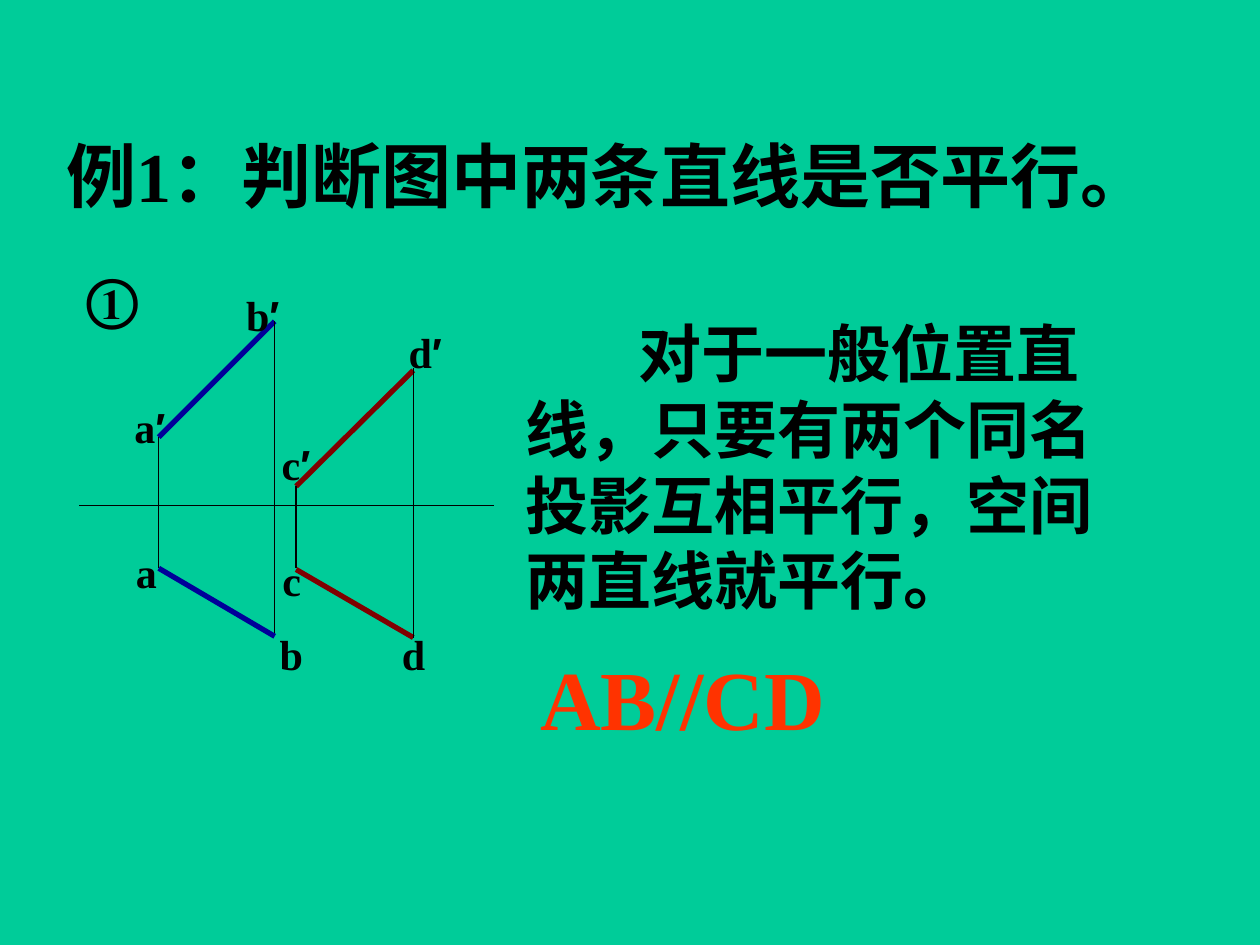
from dataclasses import dataclass
from typing import NamedTuple

from lxml import etree
from pptx import Presentation
from pptx import util as u
from pptx.dml.color import RGBColor
from pptx.enum import shapes, text
from pptx.oxml import ns


@dataclass(frozen=True)
class Theme:
    back: str = "00CC99"
    ink: str = "000000"
    blue: str = "000099"
    maroon: str = "800000"
    red: str = "FF3300"
    serif: str = "Times New Roman"
    sans: str = "Arial"
    small: int = 24
    mark: int = 32
    body: int = 36
    title: int = 40
    result: int = 48
    thin: float = 0.75
    thick: float = 3


T = Theme()


class Line(NamedTuple):
    x1: float
    y1: float
    x2: float
    y2: float
    color: str = T.ink
    width: float = T.thin


class Label(NamedTuple):
    words: str
    left: float
    top: float
    width: float
    height: float = 0.5
    size: int = T.small
    color: str = T.ink
    center: bool = True
    wrap: bool = False
    prime: bool = False
    indent: float = 0


# Axis, projections and the thin lines that link them
LINES = [
    Line(0.63, 4.01, 3.92, 4.01),
    Line(1.26, 3.47, 2.18, 2.55, T.blue, T.thick),
    Line(2.35, 3.86, 3.28, 2.94, T.maroon, T.thick),
    Line(1.26, 3.47, 1.26, 4.51),
    Line(2.18, 2.55, 2.18, 5.05),
    Line(2.35, 3.86, 2.35, 4.51),
    Line(1.26, 4.51, 2.18, 5.05, T.blue, T.thick),
    Line(2.35, 4.52, 3.28, 5.06, T.maroon, T.thick),
    Line(3.28, 5.06, 3.28, 2.92),
]

LABELS = [
    # Lower projections
    Label("a", 0.98, 4.29, 0.36, center=False),
    Label("b", 2.12, 4.94, 0.38, center=False),
    Label("c", 2.14, 4.35, 0.35),
    Label("d", 3.09, 4.94, 0.38),
    # Upper projections
    Label("c", 2.12, 3.43, 0.46, prime=True),
    Label("a", 0.95, 3.14, 0.48, prime=True),
    Label("b", 1.84, 2.25, 0.49, prime=True),
    Label("d", 2.9, 2.54, 0.95, prime=True, wrap=True),
    # Title, rule, result and figure number
    Label("例1：判断图中两条直线是否平行。", 0.43, 1, 9.07, 0.77,
          T.title, center=False),
    Label("对于一般位置直线，只要有两个同名投影互相平行，空间两直线就平行。",
          4.07, 2.45, 4.77, 2.5, T.body, center=False, wrap=True, indent=0.9),
    Label("AB//CD", 4.19, 5.08, 2.46, 0.9, T.result, T.red, center=False),
    Label("①", 0.57, 2.04, 0.65, 0.64, T.mark, wrap=True),
]


def draw(slide, line: Line) -> None:
    ends = map(u.Inches, line[:4])
    shape = slide.shapes.add_connector(shapes.MSO_CONNECTOR.STRAIGHT, *ends)
    shape.line.color.rgb = RGBColor.from_string(line.color)
    shape.line.width = u.Pt(line.width)
    etree.SubElement(shape._element.spPr, ns.qn("a:effectLst"))


def add_run(para, words: str, font: str, label: Label) -> None:
    run = para.add_run()
    run.text = words
    run.font.name = font
    run.font.size = u.Pt(label.size)
    run.font.bold = True
    run.font.color.rgb = RGBColor.from_string(label.color)


def write(slide, label: Label) -> None:
    box = slide.shapes.add_textbox(*map(u.Inches, label[1:5]))
    frame = box.text_frame
    frame.word_wrap = label.wrap
    frame.auto_size = text.MSO_AUTO_SIZE.SHAPE_TO_FIT_TEXT
    frame.vertical_anchor = text.MSO_ANCHOR.MIDDLE
    para = frame.paragraphs[0]
    para.alignment = text.PP_ALIGN.CENTER if label.center else text.PP_ALIGN.LEFT
    if label.indent:
        para._p.get_or_add_pPr().set("indent", str(u.Inches(label.indent)))
    add_run(para, label.words, T.serif, label)
    if label.prime:
        add_run(para, "′", T.sans, label)


def main() -> None:
    deck = Presentation()
    deck.slide_width, deck.slide_height = u.Inches(10), u.Inches(7.5)
    slide = deck.slides.add_slide(deck.slide_layouts[6])
    fill = slide.background.fill
    fill.solid()
    fill.fore_color.rgb = RGBColor.from_string(T.back)
    for line in LINES:
        draw(slide, line)
    for label in LABELS:
        write(slide, label)
    deck.save("out.pptx")


if __name__ == "__main__":
    main()
